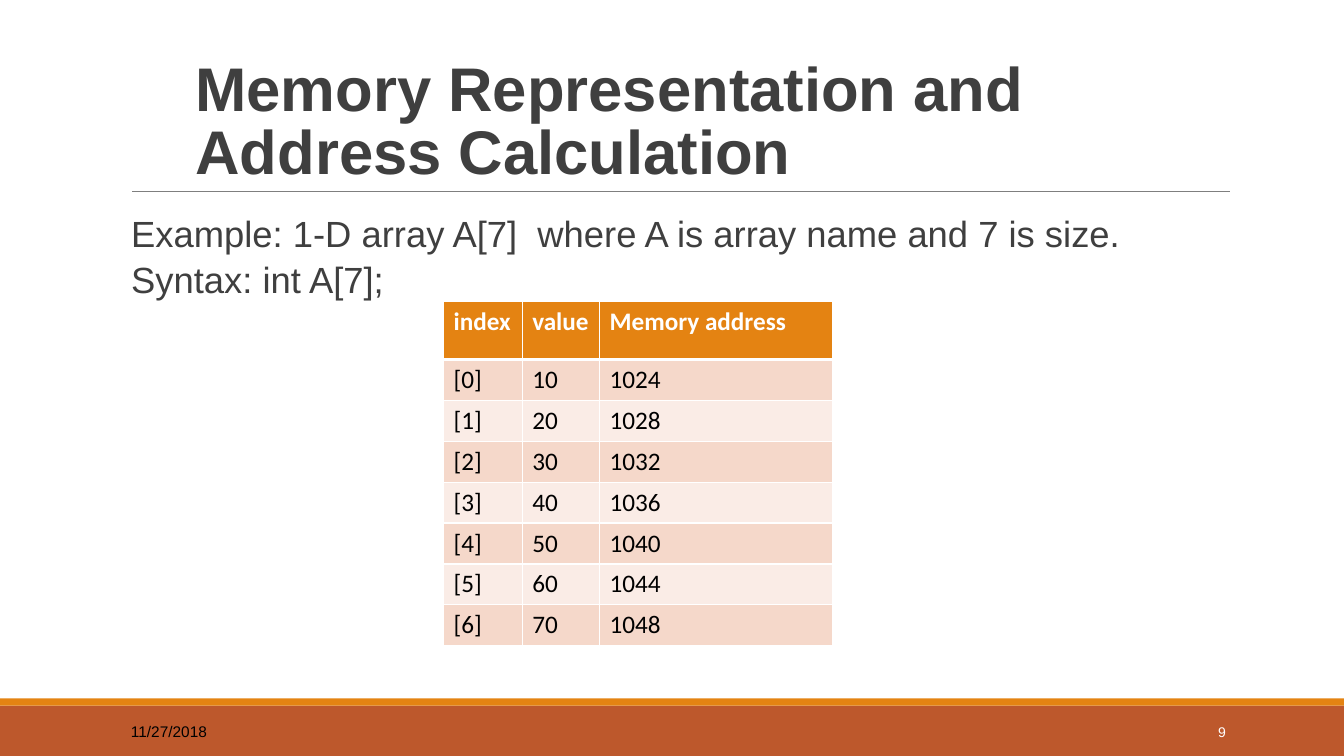
from lxml.etree import SubElement
from pptx import Presentation
from pptx.dml.color import RGBColor
from pptx.enum.shapes import MSO_CONNECTOR, MSO_SHAPE
from pptx.enum.text import MSO_ANCHOR as ANCHOR, MSO_AUTO_SIZE, PP_ALIGN as ALIGN
from pptx.oxml.ns import qn
from pptx.util import Cm, Pt


def paint(fmt, color):
    """Give a fill or line format one solid hex colour."""
    fill = fmt if hasattr(fmt, "solid") else fmt.fill
    fill.solid()
    fill.fore_color.rgb = RGBColor.from_string(color)


def write(tf, text, size, color, font="Arial", bold=False, anchor=ANCHOR.TOP, align=ALIGN.LEFT):
    """Fill a text frame and format all its runs alike."""
    tf.text = text
    tf.word_wrap = True
    tf.vertical_anchor = anchor
    for p in tf.paragraphs:
        p.alignment = align
        for r in p.runs:
            r.font.name = font
            r.font.size = Pt(size)
            r.font.bold = bold
            paint(r.font, color)


WHITE, BLACK, GREY = "FFFFFF", "000000", "3F3F3F"
ORANGE, RUST = "E48312", "BD582C"
BANDS = ["FAECE6", "F5D8CA"]

prs = Presentation()
prs.slide_width, prs.slide_height = Cm(33.87), Cm(19.05)
s = prs.slides.add_slide(prs.slide_layouts[1])
paint(s.background.fill, WHITE)

# Footer bands and the rule under the title
for top, height, color in [(17.78, 1.27, RUST), (17.6, 0.18, ORANGE)]:
    sp = s.shapes.add_shape(MSO_SHAPE.RECTANGLE, 0, Cm(top), prs.slide_width, Cm(height))
    sp.shadow.inherit = False
    paint(sp.fill, color)
    sp.line.fill.background()

rule = s.shapes.add_connector(MSO_CONNECTOR.STRAIGHT, Cm(3.33), Cm(4.82), Cm(30.99), Cm(4.82))
paint(rule.line, "7F7F7F")
rule.line.width = Pt(0.75)
SubElement(rule._element.spPr, qn("a:effectLst"))

# Title and body
title, body = s.placeholders
title.left, title.top, title.width, title.height = Cm(4.67), Cm(0.79), Cm(27.94), Cm(4.04)
write(title.text_frame, "Memory Representation and Address Calculation", 44, GREY,
      bold=True, anchor=ANCHOR.BOTTOM)
title.text_frame.paragraphs[0].line_spacing = 0.85

body.left, body.top, body.width, body.height = Cm(3.05), Cm(5.13), Cm(27.1), Cm(2.49)
write(body.text_frame, "Example: 1-D array A[7]  where A is array name and 7 is size.\n"
      "Syntax: int A[7];", 26, GREY)
for p in body.text_frame.paragraphs:
    p.space_before = Pt(0)
    p.line_spacing = 1.05
    pPr = p._p.get_or_add_pPr()
    pPr.set("marL", "0")
    pPr.set("indent", "0")
    SubElement(pPr, qn("a:buNone"))
for sp in (title, body):
    sp.text_frame.auto_size = MSO_AUTO_SIZE.NONE

# Table: four-byte integers from address 1024
rows = [("index", "value", "Memory address")]
rows += [(f"[{i}]", str(10 * (i + 1)), str(1024 + 4 * i)) for i in range(7)]
widths = [1.98, 1.95, 5.87]
heights = [1.47] + [1.03] * 7
table = s.shapes.add_table(len(rows), len(widths), Cm(11.18), Cm(7.59),
                           Cm(sum(widths)), Cm(sum(heights))).table
for col, width in zip(table.columns, widths):
    col.width = Cm(width)
for i, (row, height) in enumerate(zip(table.rows, heights)):
    row.height = Cm(height)
    for cell, text in zip(row.cells, rows[i]):
        header = i == 0
        write(cell.text_frame, text, 18, WHITE if header else BLACK, "Calibri", header)
        tcPr = cell._tc.get_or_add_tcPr()
        for side in ("lnL", "lnR", "lnT", "lnB"):
            thick = (i, side) in [(0, "lnB"), (1, "lnT")]
            ln = SubElement(tcPr, qn(f"a:{side}"), w=str(Pt(3 if thick else 1)))
            SubElement(SubElement(ln, qn("a:solidFill")), qn("a:srgbClr"), val=WHITE)
        paint(cell.fill, ORANGE if header else BANDS[i % 2])

# Date and slide number
for left, width, text, size, color, align in [
    (3.05, 6.86, "11/27/2018", 11, BLACK, ALIGN.LEFT),
    (27.51, 3.63, "9", 10, WHITE, ALIGN.RIGHT),
]:
    box = s.shapes.add_textbox(Cm(left), Cm(17.93), Cm(width), Cm(1.02))
    write(box.text_frame, text, size, color, anchor=ANCHOR.MIDDLE, align=align)

prs.save("out.pptx")
